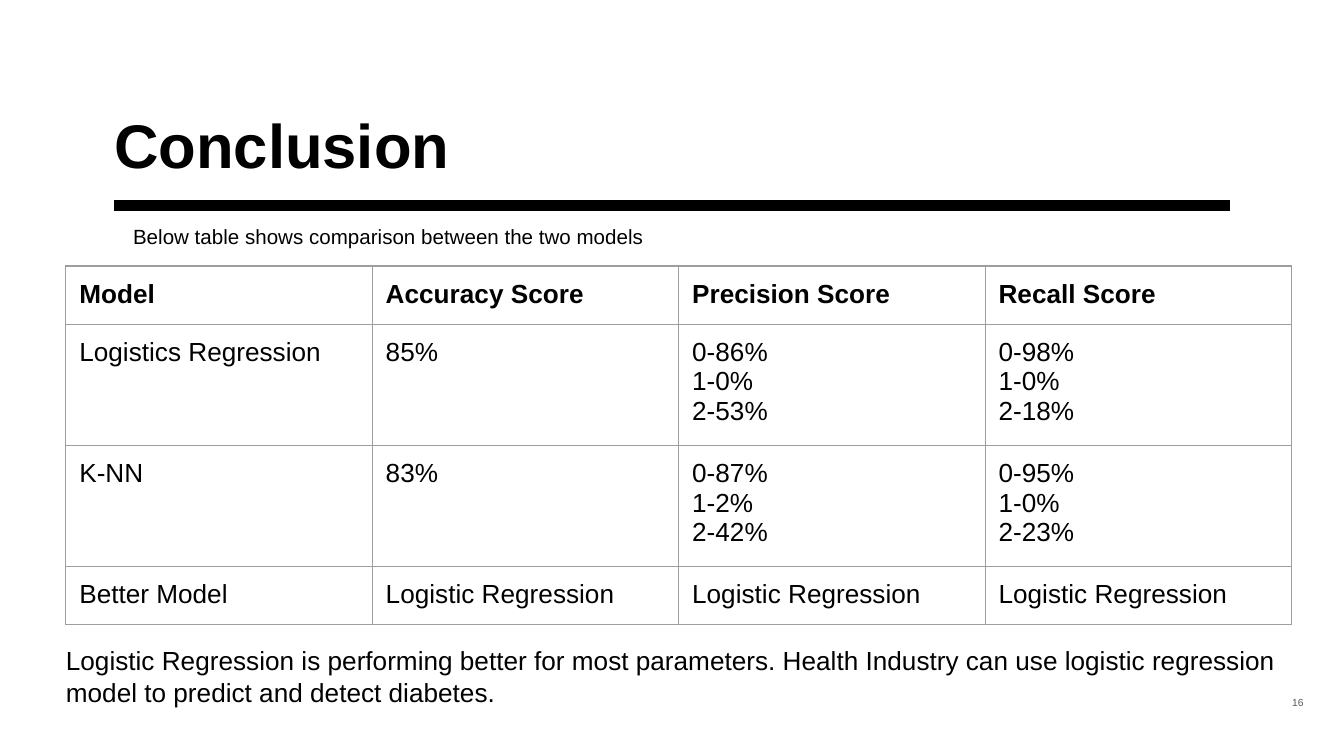
from lxml.etree import SubElement
from pptx import Presentation
from pptx.dml.color import RGBColor
from pptx.enum.shapes import MSO_CONNECTOR
from pptx.enum.text import MSO_ANCHOR, PP_ALIGN
from pptx.oxml.ns import qn
from pptx.util import Inches, Pt

COLORS = {"text": "000000", "number": "595959", "border": "9E9E9E", "page": "FFFFFF"}
FONT = "Arial"
PAGE_WIDTH = 10
LEFT = 0.49
BODY_WIDTH = 9.12
COLUMN_WIDTH = 2.28
ROW_HEIGHTS = [0.38, 0.73, 0.73, 0.38]
SCORES = [
    ["Model", "Accuracy Score", "Precision Score", "Recall Score"],
    ["Logistics Regression", "85%", "0-86%\n1-0%\n2-53%", "0-98%\n1-0%\n2-18%"],
    ["K-NN", "83%", "0-87%\n1-2%\n2-42%", "0-95%\n1-0%\n2-23%"],
    ["Better Model"] + ["Logistic Regression"] * 3,
]


def color(name):
    return RGBColor.from_string(COLORS[name])


def style_text(frame, size, bold=False, shade="text"):
    for para in frame.paragraphs:
        for span in para.runs:
            span.font.name = FONT
            span.font.size = Pt(size)
            span.font.bold = bold
            span.font.color.rgb = color(shade)


def add_text(page, area, text, size, spacing, bold=False, shade="text",
             anchor=MSO_ANCHOR.TOP, align=PP_ALIGN.LEFT, insets=(0, 0)):
    box = page.shapes.add_textbox(*map(Inches, area))
    frame = box.text_frame
    frame.word_wrap = True
    frame.vertical_anchor = anchor
    frame.margin_left = frame.margin_right = Inches(insets[0])
    frame.margin_top = frame.margin_bottom = Inches(insets[1])
    frame.text = text
    para = frame.paragraphs[0]
    para.alignment = align
    para.line_spacing = spacing
    style_text(frame, size, bold, shade)
    return para


def add_rule(page, left, right, top):
    rule = page.shapes.add_connector(
        MSO_CONNECTOR.STRAIGHT, Inches(left), Inches(top), Inches(right), Inches(top))
    rule.line.color.rgb = color("text")
    rule.line.width = Pt(6)
    SubElement(rule.element.spPr, qn("a:effectLst"))


def set_borders(cell):
    properties = cell._tc.get_or_add_tcPr()
    for position, side in enumerate(("a:lnL", "a:lnR", "a:lnT", "a:lnB")):
        line = SubElement(properties, qn(side), w=str(Pt(0.75)))
        fill = SubElement(line, qn("a:solidFill"))
        SubElement(fill, qn("a:srgbClr"), val=COLORS["border"])
        properties.insert(position, line)


def add_score_table(page, left, top):
    table = page.shapes.add_table(
        len(SCORES), len(SCORES[0]), Inches(left), Inches(top),
        Inches(COLUMN_WIDTH * len(SCORES[0])), Inches(sum(ROW_HEIGHTS))).table
    table.horz_banding = False
    for column in table.columns:
        column.width = Inches(COLUMN_WIDTH)
    for row_number, (row, height, texts) in enumerate(zip(table.rows, ROW_HEIGHTS, SCORES)):
        row.height = Inches(height)
        for cell, text in zip(row.cells, texts):
            cell.margin_left = cell.margin_right = Inches(0.1)
            cell.margin_top = cell.margin_bottom = Inches(0.1)
            cell.fill.background()
            set_borders(cell)
            cell.text_frame.text = text
            style_text(cell.text_frame, 14, bold=row_number == 0)


def main():
    deck = Presentation()
    deck.slide_width = Inches(PAGE_WIDTH)
    deck.slide_height = Inches(PAGE_WIDTH * 9 / 16)
    page = deck.slides.add_slide(deck.slide_layouts[6])
    page.background.fill.solid()
    page.background.fill.fore_color.rgb = color("page")

    add_rule(page, 0.85, 9.15, 1.53)
    add_text(page, (0.85, 0.82, 6.41, 0.53), "Conclusion", 33, 0.9,
             bold=True, anchor=MSO_ANCHOR.BOTTOM)
    add_text(page, (9.43, 5.16, 0.34, 0.15), "16", 5.5, 0.8, shade="number",
             anchor=MSO_ANCHOR.MIDDLE, align=PP_ALIGN.RIGHT, insets=(0.07, 0.04))
    add_score_table(page, LEFT, 1.98)
    add_text(page, (LEFT, 4.78, BODY_WIDTH, 0.8),
             "Logistic Regression is performing better for most parameters. "
             "Health Industry can use logistic regression model to predict "
             "and detect diabetes.", 14, 1.05)
    intro = add_text(page, (LEFT, 1.66, BODY_WIDTH, 0.32),
                     "Below table shows comparison between the two models", 11, 1.05)
    intro._p.get_or_add_pPr().set("marL", str(Inches(0.5)))
    deck.save("out.pptx")


if __name__ == "__main__":
    main()
